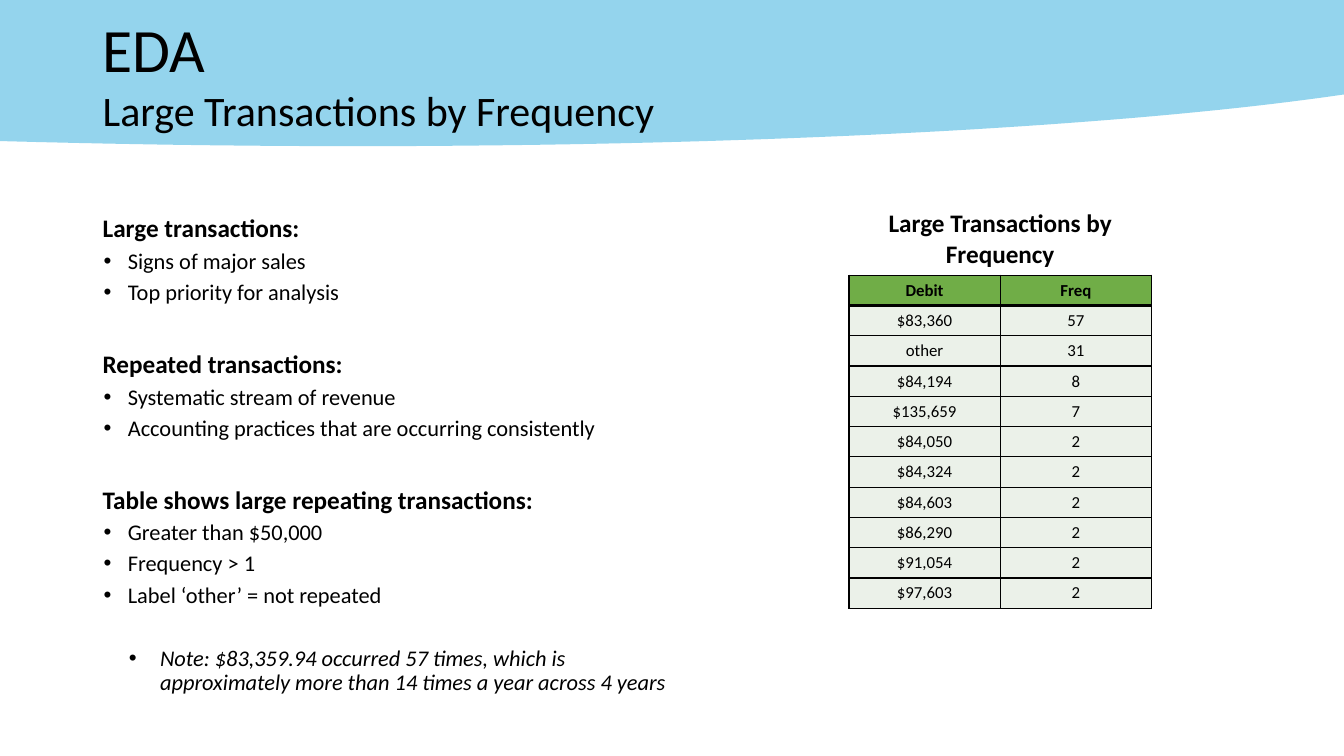
from dataclasses import dataclass

from lxml import etree
from pptx import Presentation
from pptx.dml.color import RGBColor
from pptx.enum.text import MSO_ANCHOR, PP_ALIGN
from pptx.oxml.ns import qn
from pptx.util import Emu, Pt

PX = 9144  # EMU per px, 100 px to the inch
TOP, MIDDLE = MSO_ANCHOR.TOP, MSO_ANCHOR.MIDDLE
CENTER = PP_ALIGN.CENTER
BLANK_LAYOUT = 6


@dataclass(frozen=True)
class Theme:
    font: str = "Calibri"
    text: str = "000000"
    paper: str = "FFFFFF"
    banner: str = "67C3E6"
    banner_opacity: int = 70
    header: str = "70AD47"
    row: str = "EBF1E9"
    title_size: int = 44
    subtitle_size: int = 30
    heading_size: int = 18
    bullet_size: int = 16
    cell_size: int = 12
    thin: int = 1
    thick: int = 3


@dataclass(frozen=True)
class Box:
    left: int
    top: int
    width: int
    height: int

    def emu(self) -> list[Emu]:
        return [Emu(value * PX) for value in (self.left, self.top, self.width, self.height)]


@dataclass(frozen=True)
class Line:
    """One paragraph; indent and hanging are px, space_before is points."""
    text: str
    size: int
    space_before: int = 0
    bold: bool = False
    italic: bool = False
    indent: int = 0
    hanging: int = 0


@dataclass(frozen=True)
class Border:
    color: str
    width: int


@dataclass(frozen=True)
class CellStyle:
    size: int
    bold: bool
    fill: str | None
    left: Border
    right: Border
    top: Border
    bottom: Border


THEME = Theme()
SLIDE = Box(0, 0, 1333, 750)
BANNER_CURVES = [
    [(1331, 94), (1119, 125), (760, 145), (352, 145)],
    [(352, 145), (230, 145), (113, 143), (2, 140)],
]
CURVE_STEPS = 40


def heading(text: str, space_before: int = 33) -> Line:
    return Line(text, THEME.heading_size, space_before, bold=True)


def bullet(text: str) -> Line:
    return Line(text, THEME.bullet_size, 5, indent=25, hanging=24)


TITLE = [Line("EDA", THEME.title_size)]
SUBTITLE = [Line("Large Transactions by Frequency", THEME.subtitle_size)]
BODY = [
    heading("Large transactions:", 0),
    bullet("Signs of major sales"),
    bullet("Top priority for analysis"),
    heading("Repeated transactions:"),
    bullet("Systematic stream of revenue"),
    bullet("Accounting practices that are occurring consistently"),
    heading("Table shows large repeating transactions:"),
    bullet("Greater than $50,000"),
    bullet("Frequency > 1"),
    bullet("Label ‘other’ = not repeated"),
    Line("Note: $83,359.94 occurred 57 times, which is\n"
         "approximately more than 14 times a year across 4 years",
         THEME.bullet_size, 28, italic=True, indent=57, hanging=31),
]

TABLE_BOX = Box(842, 202, 300, 401)
TITLE_ROW_HEIGHT, ROW_HEIGHT = 71, 30
TABLE_TITLE = "Large Transactions by Frequency"
COLUMNS = ("Debit", "Freq")
FREQUENCIES = [
    ("$83,360", "57"), ("other", "31"), ("$84,194", "8"), ("$135,659", "7"),
    ("$84,050", "2"), ("$84,324", "2"), ("$84,603", "2"), ("$86,290", "2"),
    ("$91,054", "2"), ("$97,603", "2"),
]

THIN = Border(THEME.text, THEME.thin)
THICK = Border(THEME.text, THEME.thick)
HIDDEN = Border(THEME.paper, THEME.thin)
TITLE_STYLE = CellStyle(THEME.heading_size, True, None, HIDDEN, HIDDEN, HIDDEN, THIN)
HEADER_STYLE = CellStyle(THEME.cell_size, True, THEME.header, THIN, THIN, THIN, THICK)
FIRST_ROW_STYLE = CellStyle(THEME.cell_size, False, THEME.row, THIN, THIN, THICK, THIN)
ROW_STYLE = CellStyle(THEME.cell_size, False, THEME.row, THIN, THIN, THIN, THIN)


def add_run(paragraph, text: str, size: int, bold: bool = False, italic: bool = False) -> None:
    run = paragraph.add_run()
    run.text = text
    font = run.font
    font.name, font.size, font.bold, font.italic = THEME.font, Pt(size), bold, italic
    font.color.rgb = RGBColor.from_string(THEME.text)


def add_text(slide, box: Box, lines: list[Line], anchor: MSO_ANCHOR) -> None:
    frame = slide.shapes.add_textbox(*box.emu()).text_frame
    frame.word_wrap = True
    frame.vertical_anchor = anchor
    for index, line in enumerate(lines):
        paragraph = frame.add_paragraph() if index else frame.paragraphs[0]
        paragraph.line_spacing = 0.9
        paragraph.space_before = Pt(line.space_before)
        if line.hanging:
            properties = paragraph._p.get_or_add_pPr()
            properties.set("marL", str(line.indent * PX))
            properties.set("indent", str(-line.hanging * PX))
            etree.SubElement(properties, qn("a:buFont"), typeface="Arial")
            etree.SubElement(properties, qn("a:buChar"), char="•")
        for part_index, part in enumerate(line.text.split("\n")):
            if part_index:
                paragraph.add_line_break()
            add_run(paragraph, part, line.size, line.bold, line.italic)


def curve_points(controls: list[tuple[int, int]]) -> list[tuple[float, float]]:
    """Sample a cubic Bézier curve given in px, as EMU points."""
    points = []
    for step in range(CURVE_STEPS + 1):
        t = step / CURVE_STEPS
        weights = ((1 - t) ** 3, 3 * t * (1 - t) ** 2, 3 * t ** 2 * (1 - t), t ** 3)
        x, y = (sum(w * c[axis] for w, c in zip(weights, controls)) for axis in (0, 1))
        points.append((x * PX, y * PX))
    return points


def add_banner(slide) -> None:
    right = SLIDE.width * PX
    outline = [(right, 0), (right, 94 * PX)]
    for controls in BANNER_CURVES:
        outline += curve_points(controls)
    outline.append((0, 140 * PX))
    builder = slide.shapes.build_freeform(0, 0)
    builder.add_line_segments(outline, close=True)
    shape = builder.convert_to_shape()
    shape.shadow.inherit = False
    shape.line.fill.background()
    shape.fill.solid()
    shape.fill.fore_color.rgb = RGBColor.from_string(THEME.banner)
    color = shape._element.spPr.find(f"{qn('a:solidFill')}/{qn('a:srgbClr')}")
    etree.SubElement(color, qn("a:alpha"), val=str(THEME.banner_opacity * 1000))


def style_cell(cell, style: CellStyle) -> None:
    properties = cell._tc.get_or_add_tcPr()
    for tag, border in (("a:lnL", style.left), ("a:lnR", style.right),
                        ("a:lnT", style.top), ("a:lnB", style.bottom)):
        line = etree.SubElement(properties, qn(tag), w=str(Pt(border.width)))
        fill = etree.SubElement(line, qn("a:solidFill"))
        etree.SubElement(fill, qn("a:srgbClr"), val=border.color)
    if style.fill is None:
        cell.fill.background()
    else:
        cell.fill.solid()
        cell.fill.fore_color.rgb = RGBColor.from_string(style.fill)


def add_frequency_table(slide) -> None:
    rows = [((TABLE_TITLE, ""), TITLE_STYLE), (COLUMNS, HEADER_STYLE)]
    rows += [(values, ROW_STYLE if index else FIRST_ROW_STYLE)
             for index, values in enumerate(FREQUENCIES)]
    table = slide.shapes.add_table(len(rows), len(COLUMNS), *TABLE_BOX.emu()).table
    table.first_row = table.horz_banding = False
    for index, (values, style) in enumerate(rows):
        table.rows[index].height = Emu((ROW_HEIGHT if index else TITLE_ROW_HEIGHT) * PX)
        for column, text in enumerate(values):
            cell = table.cell(index, column)
            style_cell(cell, style)
            if text:
                paragraph = cell.text_frame.paragraphs[0]
                paragraph.alignment = CENTER
                add_run(paragraph, text, style.size, style.bold)
    table.cell(0, 0).merge(table.cell(0, len(COLUMNS) - 1))


def main() -> None:
    presentation = Presentation()
    presentation.slide_width, presentation.slide_height = SLIDE.emu()[2:]
    slide = presentation.slides.add_slide(presentation.slide_layouts[BLANK_LAYOUT])
    add_banner(slide)
    add_text(slide, Box(92, 202, 700, 500), BODY, MIDDLE)
    add_frequency_table(slide)
    add_text(slide, Box(92, 18, 1150, 68), TITLE, MIDDLE)
    add_text(slide, Box(92, 85, 1150, 51), SUBTITLE, TOP)
    presentation.save("out.pptx")


if __name__ == "__main__":
    main()
